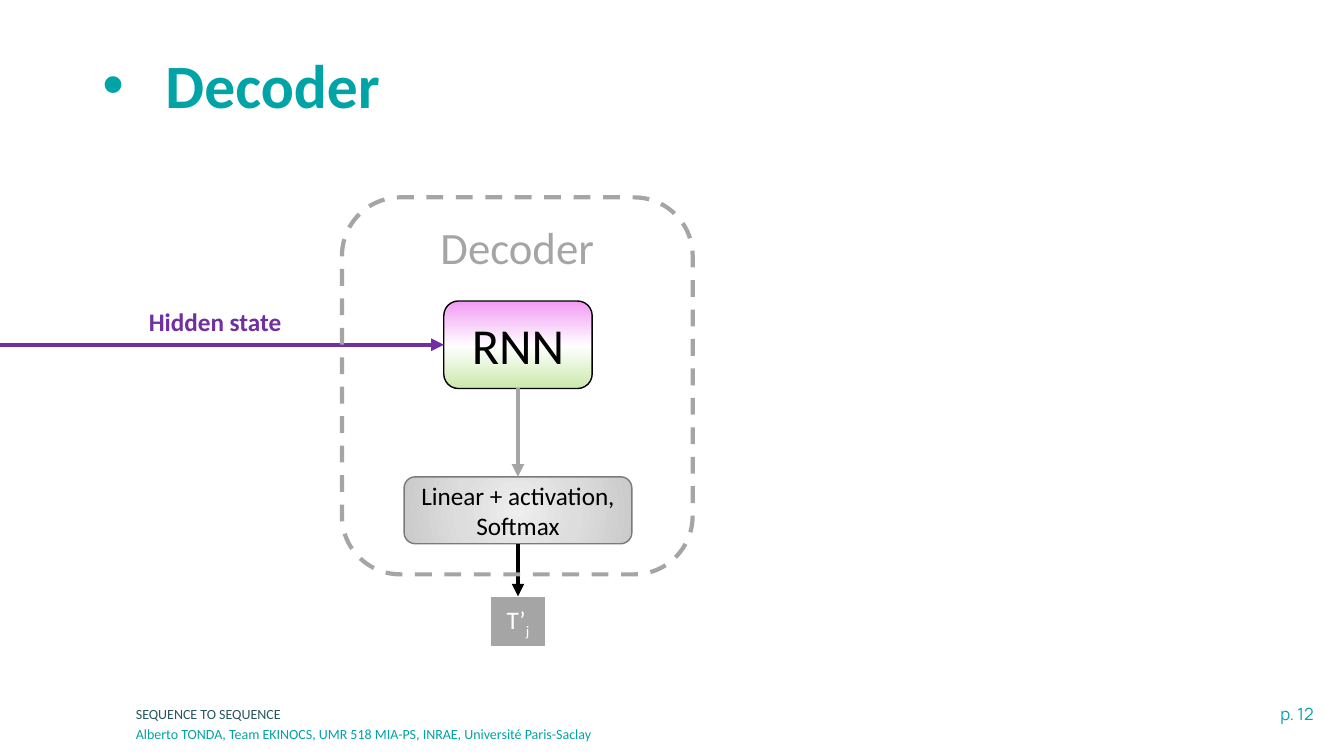
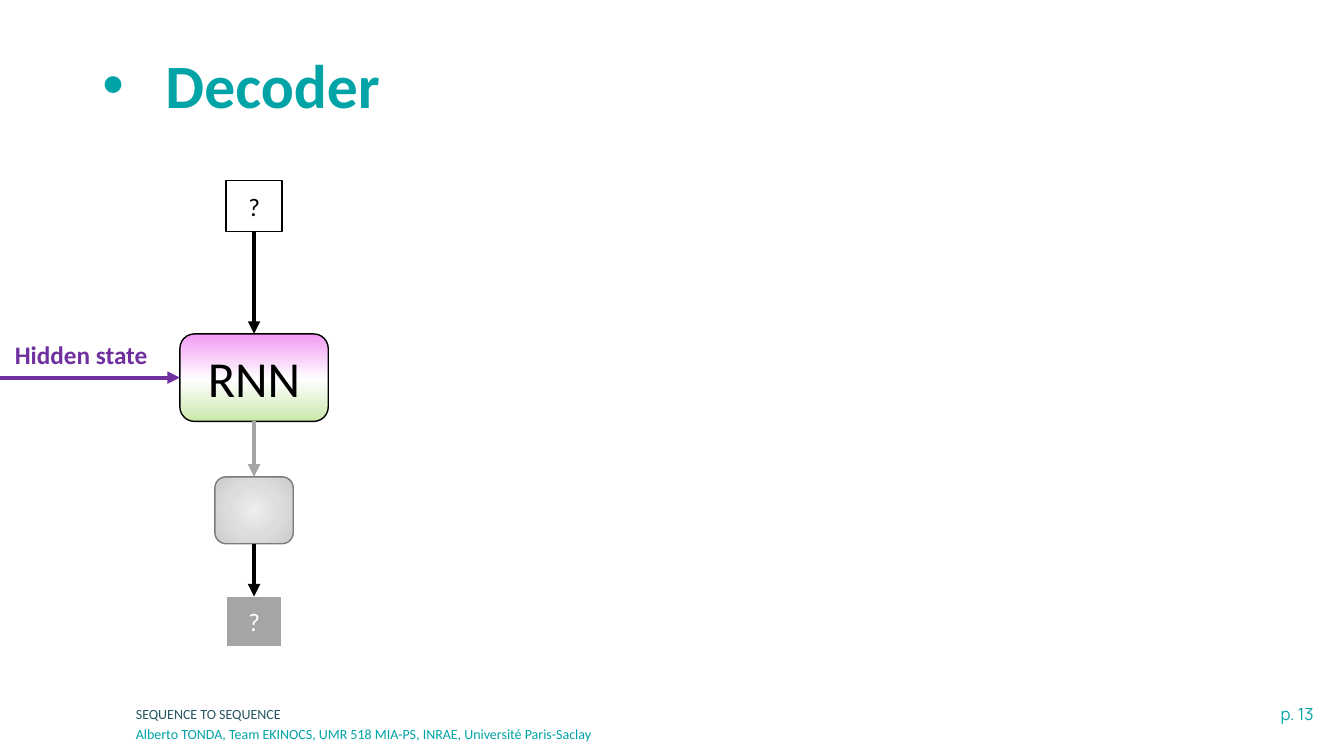
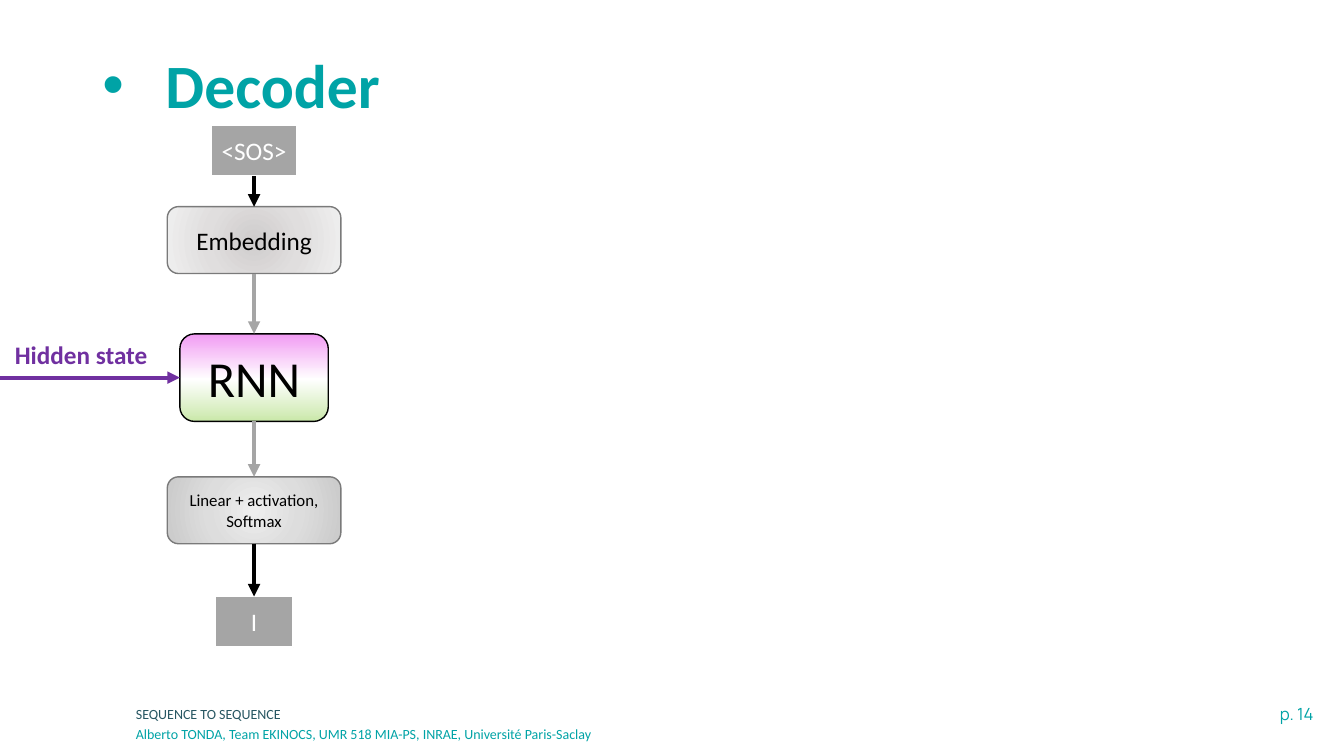
from typing import NamedTuple

from lxml import etree
from pptx import Presentation
from pptx.dml.color import RGBColor
from pptx.enum.dml import MSO_LINE
from pptx.enum.shapes import MSO_CONNECTOR, MSO_SHAPE
from pptx.enum.text import MSO_ANCHOR, MSO_AUTO_SIZE, PP_ALIGN
from pptx.oxml.ns import qn
from pptx.util import Pt

LEFT, CENTER, RIGHT = PP_ALIGN.LEFT, PP_ALIGN.CENTER, PP_ALIGN.RIGHT
TOP, MIDDLE = MSO_ANCHOR.TOP, MSO_ANCHOR.MIDDLE
RECTANGLE = MSO_SHAPE.RECTANGLE
ROUNDED = MSO_SHAPE.ROUNDED_RECTANGLE
PROCESS = MSO_SHAPE.FLOWCHART_ALTERNATE_PROCESS
STRAIGHT = MSO_CONNECTOR.STRAIGHT
DASH = MSO_LINE.DASH
NO_FIT = MSO_AUTO_SIZE.NONE
TOP_SITE, LEFT_SITE, BOTTOM_SITE = 0, 1, 2

TEAL, NAVY, PURPLE = "00A3A6", "275662", "7030A0"
BLACK, WHITE, GRAY, EDGE = "000000", "FFFFFF", "A5A5A5", "7A7A7A"
RNN_STOPS = ((0, "F19BF3"), (52, WHITE), (100, "CAE8AA"))
OUTPUT_STOPS = ((0, "EEEEEE"), (50, "DDDDDD"), (100, "CACACA"))
EMBEDDING_STOPS = ((0, "CFCCCC"), (50, "E0DEDE"), (100, "EFEFEF"))
TOKEN_HEIGHT, LAYER_HEIGHT = 36.5, 47.8
LAYER_TOP, RESULT_TOP = 340.6, 426


class Box(NamedTuple):
    """Rectangle in points."""

    left: float
    top: float
    width: float
    height: float

    def lengths(self):
        """Return the four lengths for python-pptx."""
        return [Pt(value) for value in self]


def centered(axis, top, width, height):
    """Return a box centred on a vertical axis."""
    return Box(axis - width / 2, top, width, height)


def color(value):
    """Turn a hex string into a colour."""
    return RGBColor.from_string(value)


def write(frame, text, size=18, fill=BLACK, bold=False, font="Calibri",
          align=CENTER, anchor=MIDDLE, wrap=True, subscript=""):
    """Write one formatted paragraph into a text frame."""
    frame.word_wrap = wrap
    frame.auto_size = NO_FIT
    frame.vertical_anchor = anchor
    para = frame.paragraphs[0]
    para.alignment = align
    for part in filter(None, (text, subscript)):
        span = para.add_run()
        span.text = part
        span.font.size = Pt(size)
        span.font.name = font
        span.font.bold = bold
        span.font.color.rgb = color(fill)
    if subscript:
        span.font._element.set("baseline", "-25000")
    return para


def label(page, box, text, **style):
    """Add a text box."""
    frame = page.shapes.add_textbox(*box.lengths()).text_frame
    write(frame, text, anchor=TOP, **style)


def block(page, kind, box, line, width=1, fill=None):
    """Add a preset shape with a plain outline."""
    shape = page.shapes.add_shape(kind, *box.lengths())
    shape.shadow.inherit = False
    shape.line.color.rgb = color(line)
    shape.line.width = Pt(width)
    if fill:
        shape.fill.solid()
        shape.fill.fore_color.rgb = color(fill)
    else:
        shape.fill.background()
    return shape


def shade(shape, stops, radial=False):
    """Fill a shape with a vertical or radial gradient."""
    shape.fill.gradient()
    gradient = shape.element.spPr.find(qn("a:gradFill"))
    for child in list(gradient):
        gradient.remove(child)
    stop_list = etree.SubElement(gradient, qn("a:gsLst"))
    for position, value in stops:
        stop = etree.SubElement(stop_list, qn("a:gs"), pos=str(position * 1000))
        etree.SubElement(stop, qn("a:srgbClr"), val=value)
    if radial:
        route = etree.SubElement(gradient, qn("a:path"), path="circle")
        sides = dict.fromkeys("ltrb", "50000")
        etree.SubElement(route, qn("a:fillToRect"), **sides)
    else:
        etree.SubElement(gradient, qn("a:lin"), ang="5400000", scaled="0")


def arrow(page, start, end, line=BLACK, site=TOP_SITE):
    """Draw an arrow from a shape, or from a point, to a shape."""
    origin = start if isinstance(start, tuple) else (0, 0)
    point = [Pt(value) for value in origin]
    connector = page.shapes.add_connector(STRAIGHT, *point, *point)
    if not isinstance(start, tuple):
        connector.begin_connect(start, BOTTOM_SITE)
    connector.end_connect(end, site)
    connector.line.color.rgb = color(line)
    connector.line.width = Pt(3)
    outline = connector.line._get_or_add_ln()
    etree.SubElement(outline, qn("a:tailEnd"), type="triangle")
    etree.SubElement(connector._element.spPr, qn("a:effectLst"))


def token(page, axis, top, text, width=40, fill=GRAY, line=WHITE,
          line_width=1.5, ink=WHITE, subscript=""):
    """Add a small box that holds one token."""
    box = centered(axis, top, width, TOKEN_HEIGHT)
    shape = block(page, RECTANGLE, box, line, line_width, fill)
    write(shape.text_frame, text, fill=ink, wrap=False, subscript=subscript)
    return shape


def layer(page, axis, top, width, stops, text="", size=18):
    """Add a gray network layer."""
    box = centered(axis, top, width, LAYER_HEIGHT)
    shape = block(page, PROCESS, box, EDGE)
    shade(shape, stops, radial=True)
    if text:
        write(shape.text_frame, text, size=size)
    return shape


def recurrent_cell(page, axis, top, label_axis):
    """Add the RNN with its incoming hidden state."""
    box = centered(axis, top, 106, 62.5)
    cell = block(page, ROUNDED, box, BLACK)
    shade(cell, RNN_STOPS)
    write(cell.text_frame, "RNN", size=36)
    arrow(page, (0, top + box.height / 2), cell, PURPLE, LEFT_SITE)
    label(page, centered(label_axis, top, 116, 29), "Hidden state",
          fill=PURPLE, bold=True)
    return cell


def output_stage(page, axis, cell, width, result, text="", size=18,
                 result_width=40, subscript=""):
    """Add the output layer and the resulting token below the RNN."""
    output = layer(page, axis, LAYER_TOP, width, OUTPUT_STOPS, text, size)
    outcome = token(page, axis, RESULT_TOP, result, result_width,
                    subscript=subscript)
    arrow(page, output, outcome)
    arrow(page, cell, output, GRAY)


def decoder_frame(page, box):
    """Add the dashed outline around the decoder."""
    frame = block(page, ROUNDED, box, GRAY, 3)
    frame.line.dash_style = DASH
    write(frame.text_frame, "Decoder", size=32, fill=GRAY, anchor=TOP)


def heading(page, box, text):
    """Fill the title placeholder with a bulleted heading."""
    title = page.shapes.title
    title.left, title.top, title.width, title.height = box.lengths()
    para = write(title.text_frame, text, size=44, fill=TEAL, bold=True, align=LEFT)
    para.line_spacing = 0.9
    properties = para._p.get_or_add_pPr()
    properties.set("marL", str(Pt(45)))
    properties.set("indent", str(-Pt(45)))
    etree.SubElement(properties, qn("a:buFont"), typeface="Arial")
    etree.SubElement(properties, qn("a:buChar"), char="•")


def footer(page, number):
    """Add the page number and the two footer lines."""
    label(page, Box(781.2, 499, 164.2, 21.6), f"p. {number}", size=12,
          fill=TEAL, font="Manrope", align=RIGHT)
    lines = (
        ("SEQUENCE TO SEQUENCE", NAVY, 500.4),
        ("Alberto TONDA, Team EKINOCS, UMR 518 MIA-PS, INRAE, "
         "Université Paris-Saclay", TEAL, 514.4),
    )
    for text, ink, top in lines:
        label(page, Box(90, top, 528.5, 20), text, size=10, fill=ink, align=LEFT)


def new_page(deck, number):
    """Add a slide with the shared heading and footer."""
    page = deck.slides.add_slide(deck.slide_layouts[5])
    heading(page, Box(66, 28.8, 828, 68.4), "Decoder")
    footer(page, number)
    return page


def overview_page(deck, number, axis=370):
    """Build the framed decoder overview."""
    page = new_page(deck, number)
    cell = recurrent_cell(page, axis, 215, 153.7)
    output_stage(page, axis, cell, 162.7, "T’", "Linear + activation, Softmax",
                 subscript="j")
    decoder_frame(page, centered(axis - 0.5, 141, 250.5, 269.3))


def question_page(deck, number, axis=181.5):
    """Build the decoder with unknown input and output."""
    page = new_page(deck, number)
    cell = recurrent_cell(page, axis, 238.5, 58)
    output_stage(page, axis, cell, 56, "?")
    entry = token(page, axis, 129, "?", fill=WHITE, line=BLACK, line_width=1,
                  ink=BLACK)
    arrow(page, entry, cell)


def first_step_page(deck, number, axis=181.5):
    """Build the first decoding step."""
    page = new_page(deck, number)
    cell = recurrent_cell(page, axis, 238.5, 58)
    output_stage(page, axis, cell, 124, "I", "Linear + activation, Softmax",
                 size=12, result_width=56)
    start = token(page, axis, 89.3, "<SOS>", width=61)
    embedding = layer(page, axis, 147.6, 124, EMBEDDING_STOPS, "Embedding")
    arrow(page, start, embedding)
    arrow(page, embedding, cell, GRAY)


def main():
    """Build and save the deck."""
    deck = Presentation()
    deck.slide_width, deck.slide_height = Pt(960), Pt(540)
    builders = (overview_page, question_page, first_step_page)
    for number, build in enumerate(builders, start=12):
        build(deck, number)
    deck.save("out.pptx")


if __name__ == "__main__":
    main()
